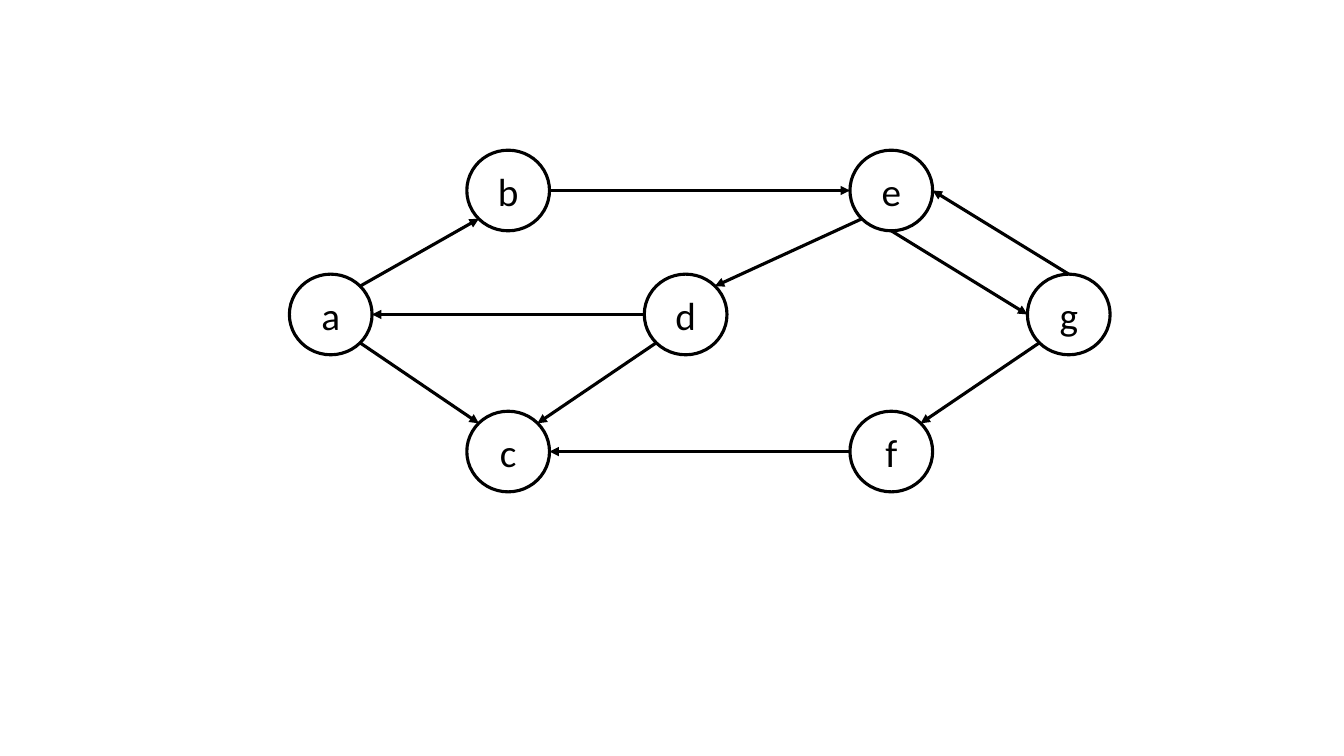
from dataclasses import dataclass
from enum import IntEnum
from math import cos, radians, sin

from lxml import etree
from pptx import Presentation
from pptx import util as u
from pptx.dml.color import RGBColor
from pptx.enum import shapes, text
from pptx.oxml.ns import qn

EMU_PER_PX = 9144
COLORS = {"ink": "000000"}
STROKE = u.Pt(2.25)
NODE_W, NODE_H = 82, 80


class Side(IntEnum):
    TOP = 0
    TOP_LEFT = 1
    LEFT = 2
    BOTTOM_LEFT = 3
    BOTTOM = 4
    BOTTOM_RIGHT = 5
    RIGHT = 6
    TOP_RIGHT = 7


@dataclass(frozen=True)
class Node:
    label: str
    left: int
    top: int

    def point(self, side: Side) -> tuple[int, int]:
        angle = radians(90 + 45 * side)
        x = self.left + NODE_W / 2 * (1 + cos(angle))
        y = self.top + NODE_H / 2 * (1 - sin(angle))
        return round(x), round(y)


@dataclass(frozen=True)
class Edge:
    source: str
    source_side: Side
    target: str
    target_side: Side


UPPER, MIDDLE, LOWER = 149, 272, 408
NODES = {
    node.label: node
    for node in (
        Node("a", 287, MIDDLE),
        Node("b", 463, UPPER),
        Node("c", 463, LOWER),
        Node("d", 639, MIDDLE),
        Node("e", 843, UPPER),
        Node("f", 843, LOWER),
        Node("g", 1019, MIDDLE),
    )
}
EDGES = (
    Edge("a", Side.TOP_RIGHT, "b", Side.BOTTOM_LEFT),
    Edge("d", Side.LEFT, "a", Side.RIGHT),
    Edge("b", Side.RIGHT, "e", Side.LEFT),
    Edge("a", Side.BOTTOM_RIGHT, "c", Side.TOP_LEFT),
    Edge("d", Side.BOTTOM_LEFT, "c", Side.TOP_RIGHT),
    Edge("f", Side.LEFT, "c", Side.RIGHT),
    Edge("e", Side.BOTTOM_LEFT, "d", Side.TOP_RIGHT),
    Edge("e", Side.BOTTOM, "g", Side.LEFT),
    Edge("g", Side.TOP, "e", Side.RIGHT),
    Edge("g", Side.BOTTOM_LEFT, "f", Side.TOP_RIGHT),
)


def px(length: int) -> u.Emu:
    return u.Emu(length * EMU_PER_PX)


def color(name: str) -> RGBColor:
    return RGBColor.from_string(COLORS[name])


def write(frame, wording: str, *, size: int = 28, font: str = "Calibri", ink: str = "ink") -> None:
    frame.vertical_anchor = text.MSO_ANCHOR.MIDDLE
    paragraph = frame.paragraphs[0]
    paragraph.alignment = text.PP_ALIGN.CENTER
    run = paragraph.add_run()
    run.text = wording
    run.font.size = u.Pt(size)
    run.font.name = font
    run.font.color.rgb = color(ink)


def stroke(line) -> None:
    line.color.rgb = color("ink")
    line.width = STROKE


def draw_node(slide, node: Node):
    circle = slide.shapes.add_shape(
        shapes.MSO_SHAPE.OVAL, px(node.left), px(node.top), px(NODE_W), px(NODE_H)
    )
    circle.shadow.inherit = False
    circle.fill.background()
    stroke(circle.line)
    write(circle.text_frame, node.label)
    return circle


def draw_edge(slide, edge: Edge, circles: dict) -> None:
    start = NODES[edge.source].point(edge.source_side)
    end = NODES[edge.target].point(edge.target_side)
    arrow = slide.shapes.add_connector(
        shapes.MSO_CONNECTOR.STRAIGHT, *map(px, start + end)
    )
    stroke(arrow.line)
    etree.SubElement(arrow.line._get_or_add_ln(), qn("a:tailEnd"), type="triangle")
    etree.SubElement(arrow._element.spPr, qn("a:effectLst"))
    glue = arrow._element.find(f".//{qn('p:cNvCxnSpPr')}")
    for tag, label, side in (
        ("a:stCxn", edge.source, edge.source_side),
        ("a:endCxn", edge.target, edge.target_side),
    ):
        etree.SubElement(
            glue, qn(tag), id=str(circles[label].shape_id), idx=str(int(side))
        )


def main() -> None:
    deck = Presentation()
    deck.slide_width, deck.slide_height = px(1333), px(750)
    slide = deck.slides.add_slide(deck.slide_layouts[6])
    circles = {label: draw_node(slide, node) for label, node in NODES.items()}
    for edge in EDGES:
        draw_edge(slide, edge, circles)
    deck.save("out.pptx")


if __name__ == "__main__":
    main()
